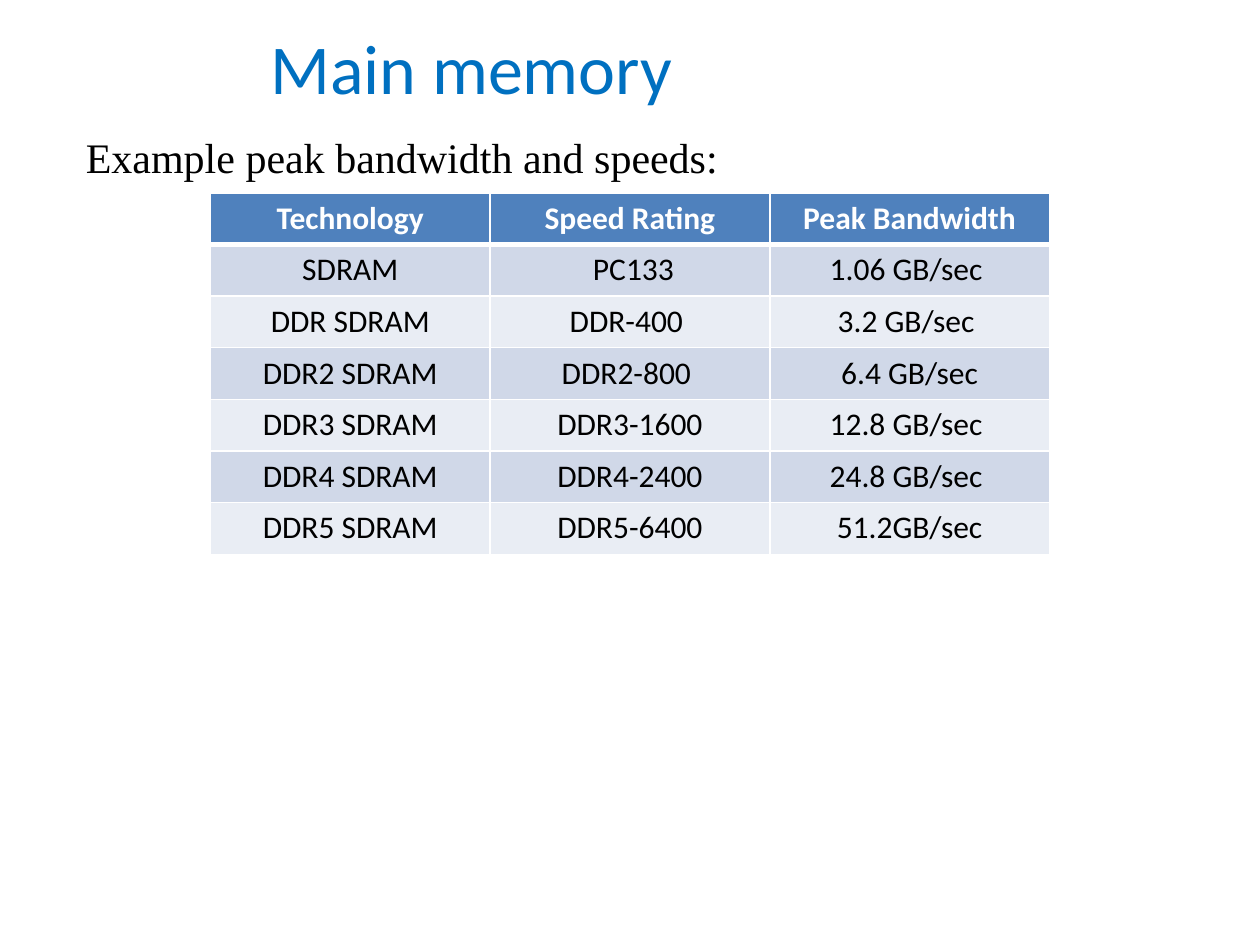
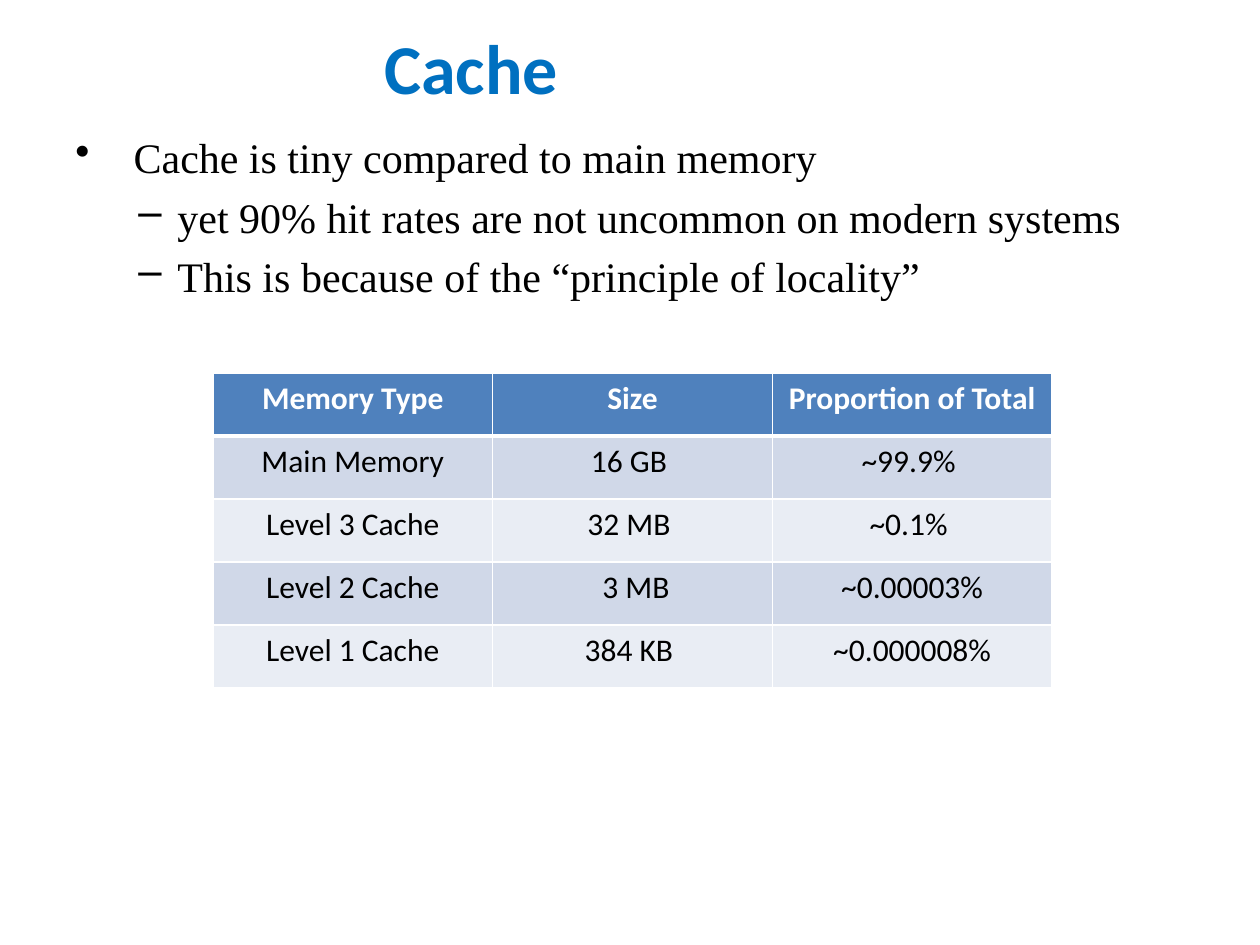
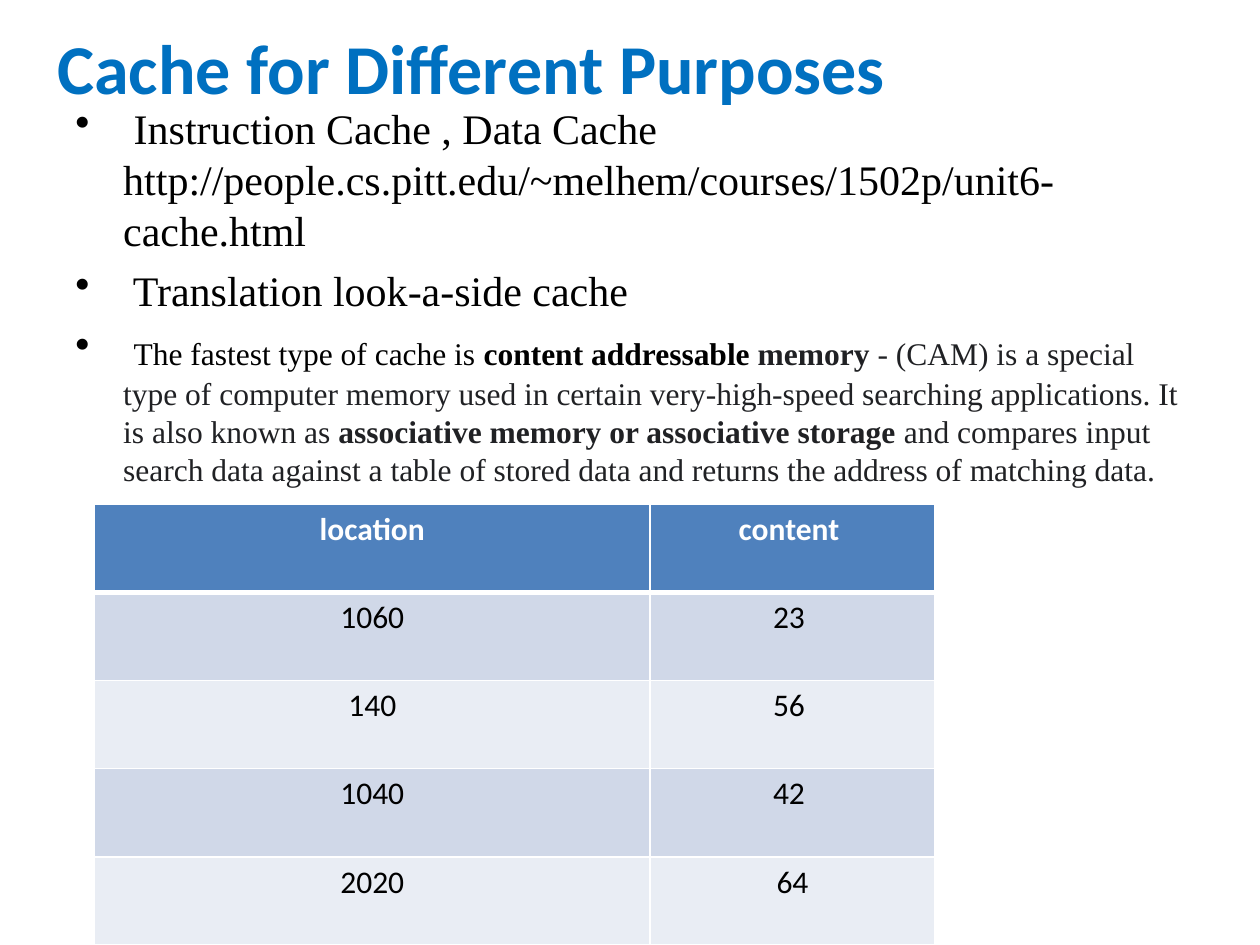
from dataclasses import dataclass

import pptx
import pptx.dml.color
import pptx.enum.text
import pptx.oxml
import pptx.oxml.ns
import pptx.util
from pptx.util import Inches

COLORS = {
    "title": "0070C0",
    "ink": "000000",
    "soft_ink": "202124",
    "white": "FFFFFF",
    "header": "4F81BD",
    "odd_row": "D0D8E8",
    "even_row": "E9EDF4",
}
TITLE_FONT = "Calibri"
BODY_FONT = "Times New Roman"


@dataclass(frozen=True)
class Span:
    text: str
    size: float = 24
    bold: bool = False
    color: str = "ink"


@dataclass(frozen=True)
class Para:
    spans: tuple[Span, ...]
    bullet: str = ""
    margin: float = 0
    hanging: float = 0
    line: float = 29.2
    before: float = 4.8


@dataclass(frozen=True)
class Grid:
    left: float
    top: float
    widths: tuple[float, ...]
    row_height: float
    rows: tuple[tuple[str, ...], ...]


@dataclass(frozen=True)
class Page:
    title: str
    title_bold: bool
    body_top: float
    body: tuple[Para, ...]
    grid: Grid


def bullet_para(*spans: Span, line: float = 29.2, before: float = 4.8) -> Para:
    return Para(spans, "•", 0.38, 0.38, line, before)


def dash_para(text: str) -> Para:
    return Para((Span(text),), "–", 0.81, 0.31)


PAGES = (
    Page(
        "Main memory", False, 0.99,
        (Para((Span(" Example peak bandwidth and speeds:"),)),),
        Grid(1.67, 1.53, (2.22, 2.22, 2.22), 0.41, (
            ("Technology", " Speed Rating ", " Peak Bandwidth "),
            ("SDRAM", " PC133", "1.06 GB/sec "),
            ("DDR SDRAM", "DDR-400 ", "3.2 GB/sec "),
            ("DDR2 SDRAM", "DDR2-800 ", " 6.4 GB/sec "),
            ("DDR3 SDRAM", "DDR3-1600", "12.8 GB/sec "),
            ("DDR4 SDRAM", "DDR4-2400", "24.8 GB/sec "),
            ("DDR5 SDRAM", "DDR5-6400", "51.2GB/sec"),
        )),
    ),
    Page(
        "Cache", True, 0.99,
        (
            bullet_para(Span(" Cache is tiny compared to main memory")),
            dash_para("yet 90% hit rates are not uncommon on modern systems"),
            dash_para("This is because of the “principle of locality”"),
        ),
        Grid(1.69, 2.96, (2.22, 2.22, 2.22), 0.5, (
            ("Memory Type", "Size", "Proportion of Total"),
            ("Main Memory", "16 GB ", "~99.9% "),
            ("Level 3 Cache", "32 MB ", "~0.1% "),
            ("Level 2 Cache", " 3 MB", "~0.00003%"),
            ("Level 1 Cache", "384 KB ", "~0.000008%"),
        )),
    ),
    Page(
        "Cache for Different Purposes", True, 0.76,
        (
            bullet_para(Span(
                " Instruction Cache , Data Cache "
                "http://people.cs.pitt.edu/~melhem/courses/1502p/unit6-cache.html"
            )),
            bullet_para(Span(" Translation look-a-side cache")),
            bullet_para(
                Span(" "),
                Span("The fastest type of cache is ", 18),
                Span("content addressable", 18, True),
                Span(" memory ", 18, True, "soft_ink"),
                Span(
                    "- (CAM) is a special type of computer memory used in certain "
                    "very-high-speed searching applications. It is also known as ",
                    18, False, "soft_ink",
                ),
                Span("associative memory or associative storage", 18, True, "soft_ink"),
                Span(
                    " and compares input search data against a table of stored data "
                    "and returns the address of matching data.",
                    18, False, "soft_ink",
                ),
                line=21.6, before=12.5,
            ),
        ),
        Grid(0.75, 4, (4.41, 2.26), 0.7, (
            ("location", "content "),
            ("1060", "23 "),
            ("140", "56 "),
            ("1040", "42 "),
            ("2020", "64"),
        )),
    ),
)


def rgb(color: str) -> pptx.dml.color.RGBColor:
    return pptx.dml.color.RGBColor.from_string(COLORS[color])


def style_font(font, name: str, size: float, bold: bool, color: str) -> None:
    font.name = name
    font.size = pptx.util.Pt(size)
    font.bold = bold
    font.color.rgb = rgb(color)


def add_box(slide, left: float, top: float, width: float, height: float):
    box = slide.shapes.add_textbox(
        Inches(left), Inches(top), Inches(width), Inches(height)
    )
    box.text_frame.word_wrap = True
    return box.text_frame


def add_title(slide, text: str, bold: bool) -> None:
    frame = add_box(slide, 0.24, 0.12, 7, 0.82)
    frame.vertical_anchor = pptx.enum.text.MSO_ANCHOR.MIDDLE
    paragraph = frame.paragraphs[0]
    paragraph.text = text
    paragraph.alignment = pptx.enum.text.PP_ALIGN.CENTER
    style_font(paragraph.font, TITLE_FONT, 40, bold, "title")


def set_bullet(paragraph, para: Para) -> None:
    properties = paragraph._p.get_or_add_pPr()
    properties.set("marL", str(Inches(para.margin)))
    properties.set("indent", str(-Inches(para.hanging)))
    bullet = pptx.oxml.parse_xml(
        f'<a:buChar {pptx.oxml.ns.nsdecls("a")} char="{para.bullet}"/>'
    )
    properties.append(bullet)


def add_body(slide, top: float, paras: tuple[Para, ...]) -> None:
    frame = add_box(slide, 0.5, top, 9, 6.5)
    for index, para in enumerate(paras):
        paragraph = frame.add_paragraph() if index else frame.paragraphs[0]
        if para.bullet:
            set_bullet(paragraph, para)
        paragraph.line_spacing = pptx.util.Pt(para.line)
        if index:
            paragraph.space_before = pptx.util.Pt(para.before)
        for span in para.spans:
            run = paragraph.add_run()
            run.text = span.text
            font = paragraph.font if len(para.spans) == 1 else run.font
            style_font(font, BODY_FONT, span.size, span.bold, span.color)


def set_borders(cell, row: int) -> None:
    properties = cell._tc.get_or_add_tcPr()
    thick_side = {0: "B", 1: "T"}.get(row)
    for side in "LRTB":
        width = pptx.util.Pt(3 if side == thick_side else 1)
        properties.append(pptx.oxml.parse_xml(
            f'<a:ln{side} {pptx.oxml.ns.nsdecls("a")} w="{width}"><a:solidFill>'
            f'<a:srgbClr val="{COLORS["white"]}"/></a:solidFill></a:ln{side}>'
        ))


def add_grid(slide, grid: Grid) -> None:
    count = len(grid.rows)
    table = slide.shapes.add_table(
        count, len(grid.widths), Inches(grid.left), Inches(grid.top),
        Inches(sum(grid.widths)), Inches(grid.row_height * count),
    ).table
    for column, width in zip(table.columns, grid.widths):
        column.width = Inches(width)
    for row, texts in enumerate(grid.rows):
        table.rows[row].height = Inches(grid.row_height)
        header = row == 0
        fill = "header" if header else "odd_row" if row % 2 else "even_row"
        for column, text in enumerate(texts):
            cell = table.cell(row, column)
            set_borders(cell, row)
            cell.fill.solid()
            cell.fill.fore_color.rgb = rgb(fill)
            paragraph = cell.text_frame.paragraphs[0]
            paragraph.text = text
            paragraph.alignment = pptx.enum.text.PP_ALIGN.CENTER
            style_font(
                paragraph.font, TITLE_FONT, 18, header, "white" if header else "ink"
            )


def main() -> None:
    deck = pptx.Presentation()
    deck.slide_width = Inches(10)
    deck.slide_height = Inches(7.5)
    for page in PAGES:
        slide = deck.slides.add_slide(deck.slide_layouts[6])
        add_title(slide, page.title, page.title_bold)
        add_body(slide, page.body_top, page.body)
        add_grid(slide, page.grid)
    deck.save("out.pptx")


if __name__ == "__main__":
    main()
